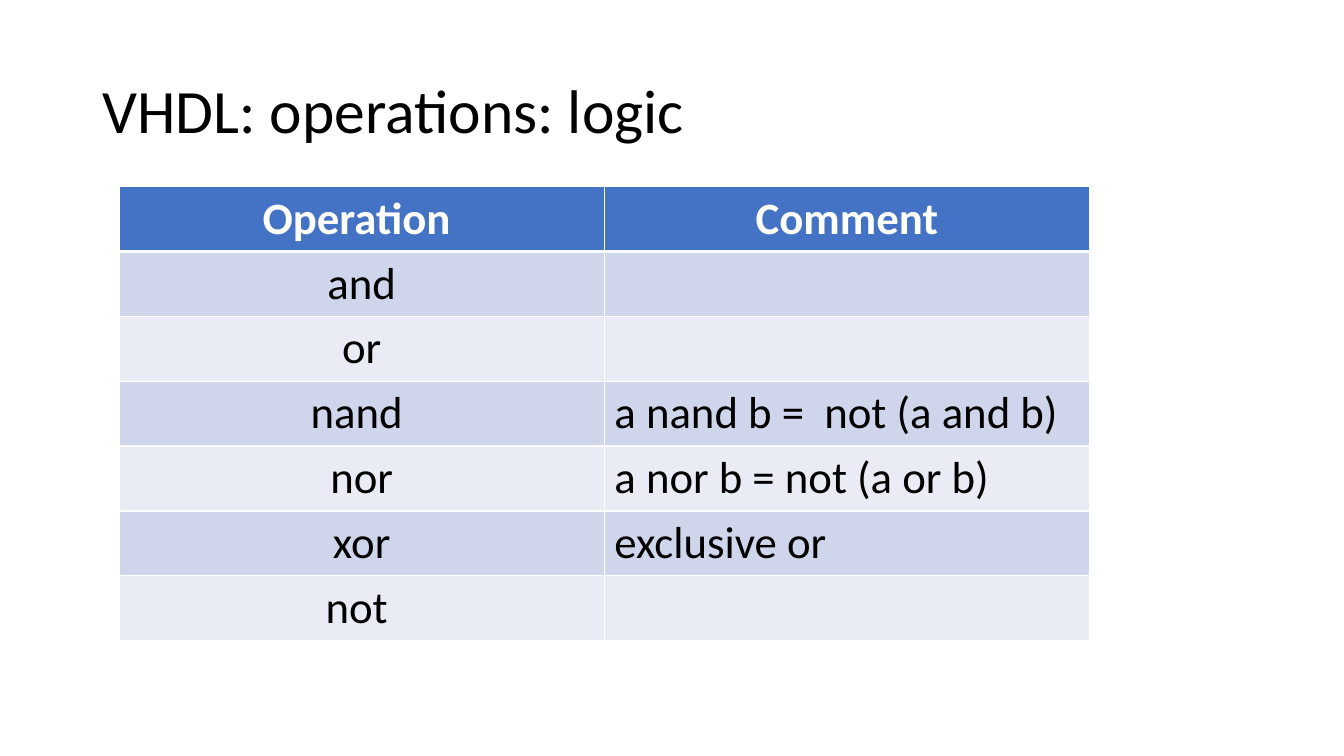
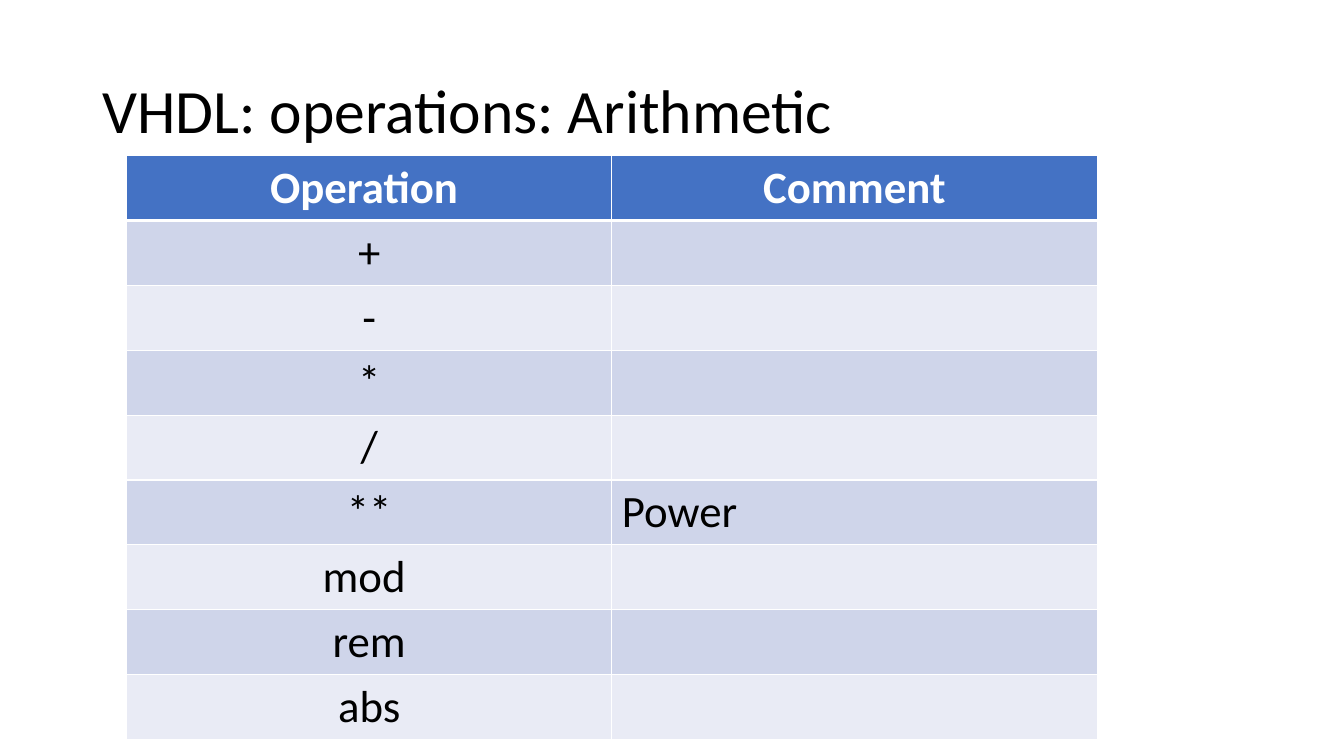
from lxml.etree import SubElement as Sub
from pptx import Presentation as Deck
from pptx.dml.color import RGBColor as RGB
from pptx.enum.text import MSO_ANCHOR as Anchor, MSO_AUTO_SIZE as Fit, PP_ALIGN as Align
from pptx.oxml.ns import qn
from pptx.util import Cm, Pt

BLUE = RGB(0x44, 0x72, 0xC4)
DARK = RGB(0xCF, 0xD5, 0xEA)
PALE = RGB(0xE9, 0xEB, 0xF5)
WHITE = RGB(0xFF, 0xFF, 0xFF)
BLACK = RGB(0, 0, 0)
FONT = "Calibri"
WIDE, ROW = Cm(24.46), Cm(1.63)
TITLE = (Cm(2.33), Cm(1.01), Cm(29.21), Cm(3.68))
HEAD = ("Operation ", "Comment")

LOGIC = [
    ("and", ""),
    ("or", ""),
    ("nand ", "a nand b =  not (a and b)"),
    ("nor", "a nor b = not (a or b)"),
    ("xor", "exclusive or"),
    ("not ", ""),
]
MATH = [
    ("+", ""),
    ("-", ""),
    ("*", ""),
    ("/", ""),
    ("**", "Power"),
    ("mod ", ""),
    ("rem", ""),
    ("abs", ""),
]


def add_run(para, text, size, color, bold=False):
    """Add one styled run to a paragraph."""
    run = para.add_run()
    run.text = text
    font = run.font
    font.name, font.size, font.bold = FONT, Pt(size), bold
    font.color.rgb = color


def add_title(slide, text, box):
    """Fill the title placeholder and fit it to the box."""
    shape = slide.shapes.title
    shape.left, shape.top, shape.width, shape.height = box
    frame = shape.text_frame
    frame.auto_size = Fit.NONE
    frame.word_wrap = True
    frame.vertical_anchor = Anchor.MIDDLE
    para = frame.paragraphs[0]
    para.alignment = Align.LEFT
    para.line_spacing = 0.9
    add_run(para, text, 44, BLACK)


def add_edges(cell, widths):
    """Draw white borders of the given widths around a cell."""
    props = cell._tc.get_or_add_tcPr()
    for side, width in widths.items():
        line = Sub(props, qn(f"a:ln{side}"), w=str(Pt(width)))
        fill = Sub(line, qn("a:solidFill"))
        Sub(fill, qn("a:srgbClr"), val=str(WHITE))


def fill_cell(cell, text, row, col):
    """Style a cell by its place in the table and write its text."""
    head = row == 0
    add_edges(cell, {"L": 1, "R": 1, "T": 3 if row == 1 else 1, "B": 3 if head else 1})
    cell.fill.solid()
    cell.fill.fore_color.rgb = BLUE if head else DARK if row % 2 else PALE
    para = cell.text_frame.paragraphs[0]
    para.alignment = Align.CENTER if head or col == 0 else Align.LEFT
    if text:
        add_run(para, text, 32, WHITE if head else BLACK, head)


def add_grid(slide, rows, left, top):
    """Place a two-column table of operations at a corner."""
    rows = [HEAD, *rows]
    shape = slide.shapes.add_table(len(rows), len(HEAD), left, top, WIDE, ROW * len(rows))
    grid = shape.table
    for line in grid.rows:
        line.height = ROW
    for row, texts in enumerate(rows):
        for col, text in enumerate(texts):
            fill_cell(grid.cell(row, col), text, row, col)


def add_page(deck, title, rows, left, top):
    """Add a slide with a title and a table of operations."""
    slide = deck.slides.add_slide(deck.slide_layouts[5])
    add_title(slide, title, TITLE)
    add_grid(slide, rows, left, top)


def main():
    """Build and save the deck."""
    deck = Deck()
    deck.slide_width, deck.slide_height = Cm(33.87), Cm(19.05)
    add_page(deck, "VHDL: operations: logic", LOGIC, Cm(3), Cm(4.7))
    add_page(deck, "VHDL: operations: Arithmetic", MATH, Cm(3.19), Cm(3.92))
    deck.save("out.pptx")


if __name__ == "__main__":
    main()
